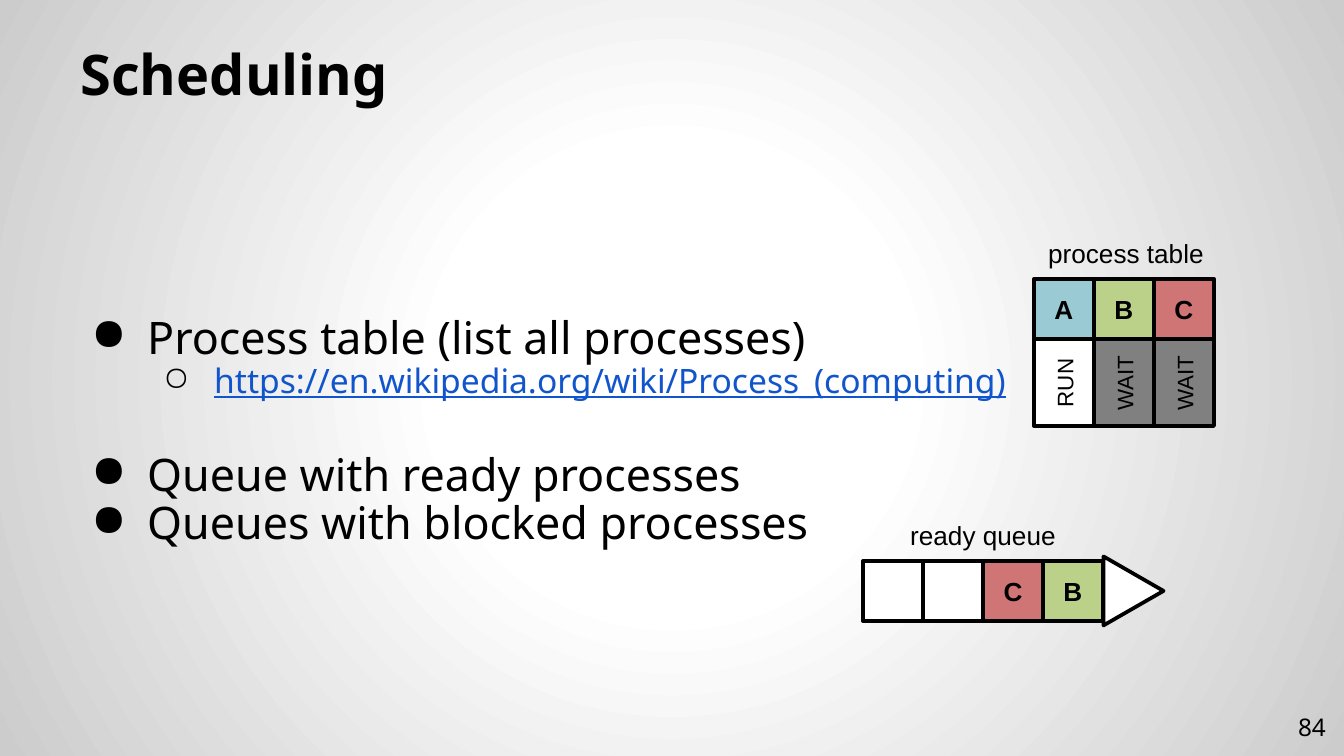
from lxml.etree import SubElement
from pptx import Presentation
from pptx.dml.color import RGBColor
from pptx.enum.shapes import MSO_SHAPE as Shape
from pptx.enum.text import MSO_ANCHOR as Anchor, PP_ALIGN as Align
from pptx.oxml import parse_xml
from pptx.oxml.ns import nsdecls, qn
from pptx.util import Pt

PX = 914400 / 134.4
BLACK = RGBColor(0x00, 0x00, 0x00)
WHITE = RGBColor(0xFF, 0xFF, 0xFF)
GRAY = RGBColor(0x80, 0x80, 0x80)
BLUE = RGBColor(0x9A, 0xCA, 0xD3)
GREEN = RGBColor(0xBB, 0xD1, 0x89)
RED = RGBColor(0xD0, 0x75, 0x76)
LINK = RGBColor(0x11, 0x55, 0xCC)
SANS, ARIAL = "Noto Sans", "Arial"
CELL, STATE_HEIGHT = 60, 87

BACKGROUND = f"""<p:bg {nsdecls('p', 'a')}><p:bgPr><a:gradFill><a:gsLst>
<a:gs pos="0"><a:srgbClr val="FFFFFF"/></a:gs>
<a:gs pos="30000"><a:srgbClr val="FFFFFF"/></a:gs>
<a:gs pos="100000"><a:srgbClr val="CCCCCC"/></a:gs></a:gsLst>
<a:path path="circle"><a:fillToRect l="50000" t="50000" r="50000" b="50000"/></a:path>
</a:gradFill><a:effectLst/></p:bgPr></p:bg>"""


def px(length):
    return round(length * PX)


def write(para, text, size=14, font=ARIAL, color=BLACK, bold=False,
          underline=False, align=Align.LEFT):
    para.alignment = align
    span = para.add_run()
    span.text = text
    span.font.size = Pt(size)
    span.font.name = font
    span.font.color.rgb = color
    span.font.bold = bold
    span.font.underline = underline


class SlideBuilder:
    def __init__(self, deck):
        self.page = deck.slides.add_slide(deck.slide_layouts[6])
        self.page.element.cSld.insert(0, parse_xml(BACKGROUND))
        self.shapes = self.page.shapes

    def start_group(self):
        self.shapes = self.page.shapes.add_group_shape().shapes

    def frame(self, left, top, width, height, anchor=Anchor.TOP, inset=7, turn=0):
        box = self.shapes.add_textbox(px(left), px(top), px(width), px(height))
        box.rotation = turn
        frame = box.text_frame
        frame.word_wrap = True
        frame.vertical_anchor = anchor
        frame.margin_top = frame.margin_bottom = px(inset)
        return frame

    def label(self, text, left, top, width, height, size=14, turn=0):
        frame = self.frame(left, top, width, height, turn=turn)
        write(frame.paragraphs[0], text, size=size, align=Align.CENTER)

    def block(self, left, top, width, height, fill, text="", kind=Shape.RECTANGLE, turn=0):
        block = self.shapes.add_shape(kind, px(left), px(top), px(width), px(height))
        block.shadow.inherit = False
        block.rotation = turn
        block.fill.solid()
        block.fill.fore_color.rgb = fill
        block.line.color.rgb = BLACK
        block.line.width = Pt(2)
        if text:
            block.text_frame.vertical_anchor = Anchor.MIDDLE
            write(block.text_frame.paragraphs[0], text, bold=True, align=Align.CENTER)

    def bullet(self, para, text, mark, margin, hang, before=0, **style):
        props = para._p.get_or_add_pPr()
        props.set("marL", str(px(margin)))
        props.set("indent", str(-px(hang)))
        color = SubElement(props, qn("a:buClr"))
        SubElement(color, qn("a:srgbClr"), val=str(BLACK))
        SubElement(props, qn("a:buChar"), char=mark)
        para.line_spacing = 0.9
        para.space_before = Pt(before)
        write(para, text, font=SANS, **style)


def main():
    deck = Presentation()
    deck.slide_width, deck.slide_height = px(1344), px(756)
    slide = SlideBuilder(deck)

    # Title and page number
    title = slide.frame(67, 31, 1210, 84, Anchor.BOTTOM, inset=8)
    write(title.paragraphs[0], "Scheduling", size=30, font=SANS, bold=True)
    number = slide.frame(1258, 698, 81, 58, Anchor.MIDDLE, inset=13)
    write(number.paragraphs[0], "84", size=13, font=SANS, align=Align.RIGHT)

    # Bullet list
    body = slide.frame(67, 136, 1210, 593, Anchor.MIDDLE, inset=13)
    main_level = dict(mark="●", margin=67, hang=56, size=24)
    sub_level = dict(mark="○", margin=134, hang=51, size=18, color=LINK, underline=True)
    items = [
        ("Process table (list all processes)", main_level, 0),
        ("https://en.wikipedia.org/wiki/Process_(computing)", sub_level, 0),
        ("Queue with ready processes", main_level, 28),
        ("Queues with blocked processes", main_level, 0),
    ]
    for index, (text, level, before) in enumerate(items):
        para = body.add_paragraph() if index else body.paragraphs[0]
        slide.bullet(para, text, before=before, **level)

    # Process table
    slide.start_group()
    left, top = 1034, 279
    slide.label("process table", 1012, 230, 228, 46)
    processes = [("A", BLUE, "RUN", WHITE), ("B", GREEN, "WAIT", GRAY), ("C", RED, "WAIT", GRAY)]
    for column, (name, color, state, state_color) in enumerate(processes):
        x = left + column * CELL
        slide.block(x, top, CELL, CELL, color, name)
        slide.block(x, top + CELL, CELL, STATE_HEIGHT, state_color)
        slide.label(state, x + (CELL - STATE_HEIGHT) / 2, 363, STATE_HEIGHT, 40, size=12, turn=270)

    # Ready queue
    slide.start_group()
    left, top = 863, 561
    slide.label("ready queue", 871, 512, 224, 46)
    slots = [("", WHITE), ("", WHITE), ("C", RED), ("B", GREEN)]
    for column, (name, color) in enumerate(slots):
        slide.block(left + column * CELL, top, CELL, CELL, color, name)
    slide.block(1099, top, 69, CELL, WHITE, kind=Shape.ISOSCELES_TRIANGLE, turn=90)

    deck.save("out.pptx")


if __name__ == "__main__":
    main()
